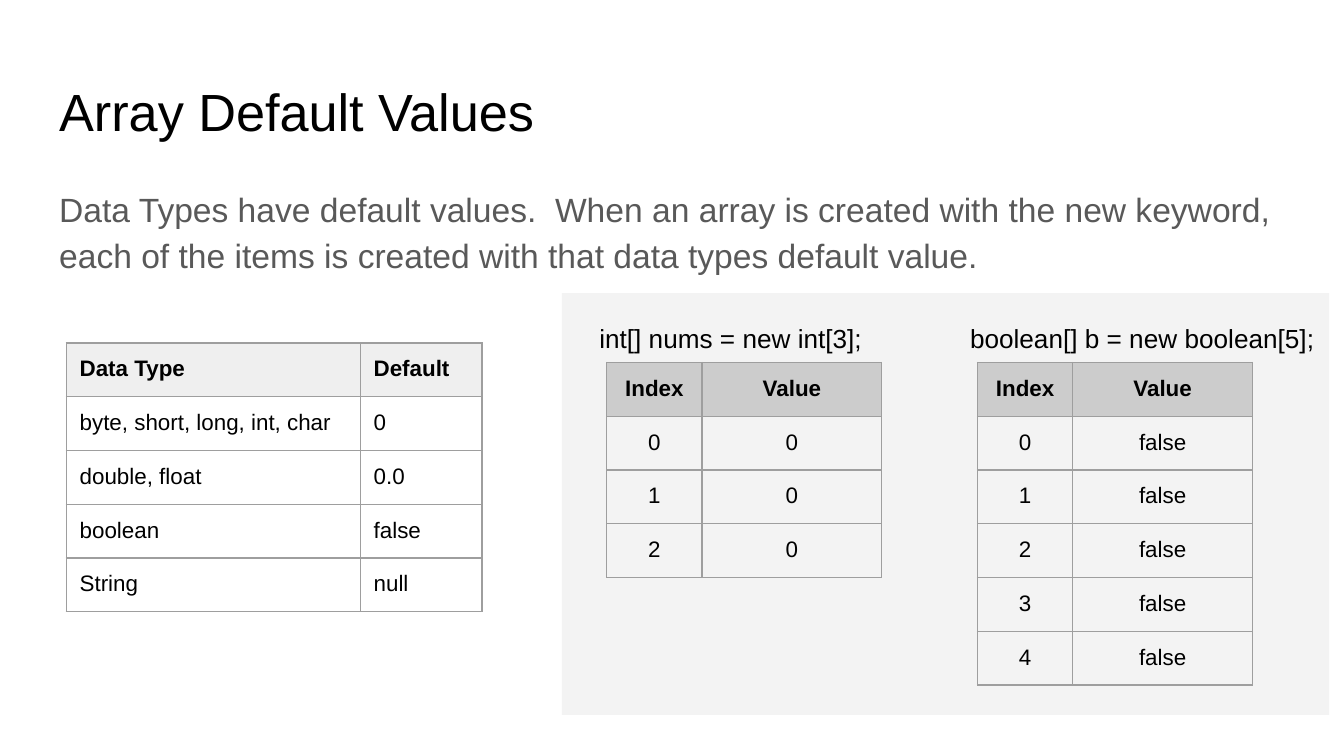
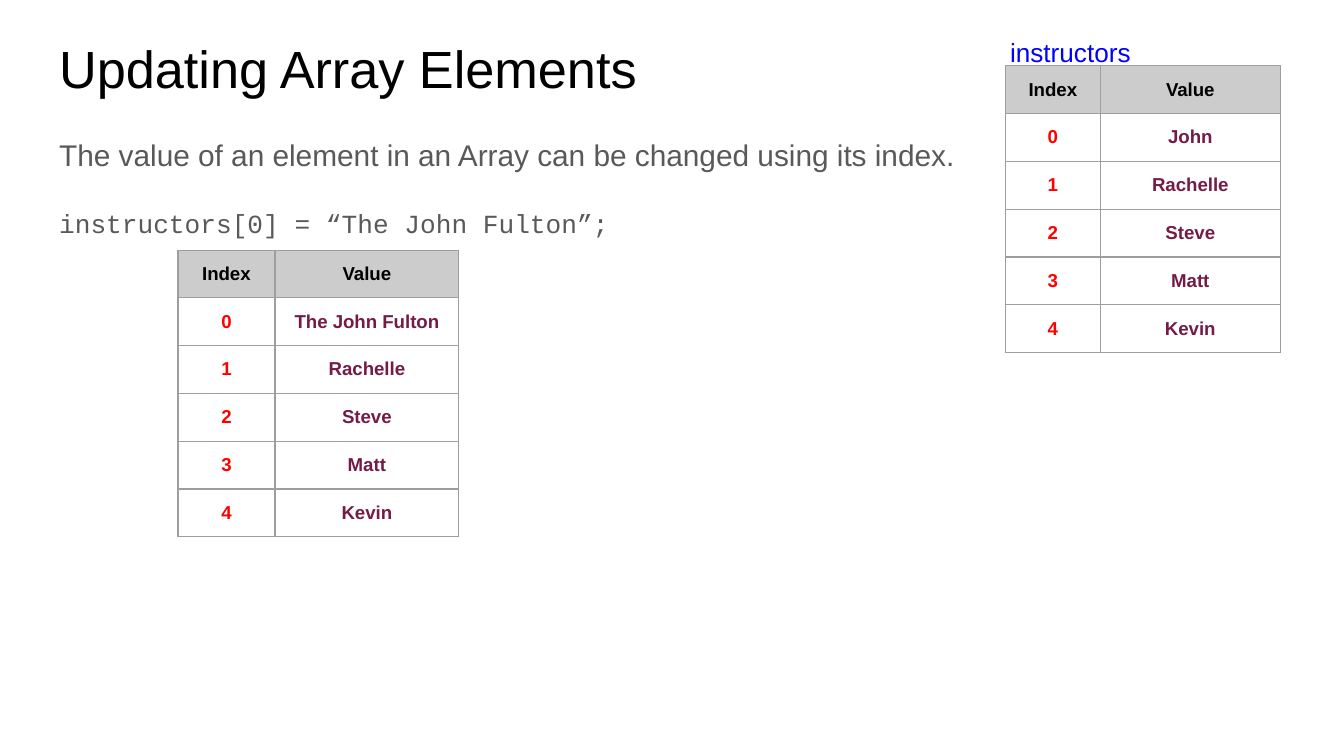
from dataclasses import dataclass

from lxml.etree import SubElement
from pptx import Presentation
from pptx.dml.color import RGBColor
from pptx.enum.shapes import MSO_SHAPE
from pptx.enum.text import MSO_ANCHOR, MSO_AUTO_SIZE, PP_ALIGN
from pptx.oxml.ns import qn
from pptx.util import Pt


@dataclass(frozen=True)
class Theme:
    font: str = "Arial"
    code_font: str = "Courier New"
    ink: str = "000000"
    body: str = "595959"
    panel: str = "F3F3F3"
    type_header: str = "EFEFEF"
    array_header: str = "CCCCCC"
    border: str = "9E9E9E"
    index: str = "FF0000"
    value: str = "741B47"
    array_name: str = "0000FF"
    title_size: float = 28
    lead_size: float = 18
    text_size: float = 16
    label_size: float = 14
    cell_size: float = 12
    small_cell_size: float = 10
    inset: float = 7.2
    border_width: float = 0.75


THEME = Theme()
MARGIN = 24.5
CONTENT_WIDTH = 671


def rgb(color):
    return RGBColor.from_string(color)


def write(paragraph, text, *, size, color=THEME.ink, font=THEME.font, bold=False,
          align=PP_ALIGN.LEFT, line=1.0, before=0, after=0):
    paragraph.alignment = align
    paragraph.line_spacing = line
    paragraph.space_before = Pt(before)
    paragraph.space_after = Pt(after)
    run = paragraph.add_run()
    run.text = text
    run.font.name = font
    run.font.size = Pt(size)
    run.font.bold = bold
    run.font.color.rgb = rgb(color)


def set_frame(frame):
    frame.word_wrap = True
    frame.auto_size = MSO_AUTO_SIZE.NONE
    frame.vertical_anchor = MSO_ANCHOR.TOP
    inset = Pt(THEME.inset)
    frame.margin_left = frame.margin_right = inset
    frame.margin_top = frame.margin_bottom = inset


def place(holder, left, top, width, height):
    holder.left, holder.top = Pt(left), Pt(top)
    holder.width, holder.height = Pt(width), Pt(height)
    set_frame(holder.text_frame)
    return holder.text_frame


def add_title(slide, text, top):
    frame = place(slide.shapes.title, MARGIN, top, CONTENT_WIDTH, 45)
    write(frame.paragraphs[0], text, size=THEME.title_size)


def add_body(slide, lines, top, width, height):
    frame = place(slide.placeholders[1], MARGIN, top, width, height)
    for position, (text, style) in enumerate(lines):
        paragraph = frame.add_paragraph() if position else frame.paragraphs[0]
        write(paragraph, text, color=THEME.body, line=1.15, **style)
        properties = paragraph._p.get_or_add_pPr()
        properties.set("marL", "0")
        properties.set("indent", "0")
        SubElement(properties, qn("a:buNone"))


def add_label(slide, text, left, top, width, height, color=THEME.ink):
    label = slide.shapes.add_textbox(Pt(left), Pt(top), Pt(width), Pt(height))
    set_frame(label.text_frame)
    write(label.text_frame.paragraphs[0], text, size=THEME.label_size, color=color)


def add_panel(slide, left, top, width, height):
    panel = slide.shapes.add_shape(MSO_SHAPE.RECTANGLE, Pt(left), Pt(top), Pt(width), Pt(height))
    panel.shadow.inherit = False
    panel.fill.solid()
    panel.fill.fore_color.rgb = rgb(THEME.panel)
    panel.line.fill.background()
    panel.element.getparent().insert(2, panel.element)


def add_borders(cell):
    properties = cell._tc.get_or_add_tcPr()
    for side in ("lnL", "lnR", "lnT", "lnB"):
        edge = SubElement(properties, qn(f"a:{side}"), w=str(Pt(THEME.border_width)))
        fill = SubElement(edge, qn("a:solidFill"))
        SubElement(fill, qn("a:srgbClr"), val=THEME.border)


def add_grid(slide, rows, left, top, widths, row_height, *, header_fill=THEME.array_header,
             size=THEME.cell_size, align=PP_ALIGN.CENTER, colors=(THEME.ink, THEME.ink),
             bold=False):
    grid = slide.shapes.add_table(len(rows), len(widths), Pt(left), Pt(top),
                                  Pt(sum(widths)), Pt(row_height * len(rows))).table
    grid.first_row = grid.horz_banding = False
    for column, width in zip(grid.columns, widths):
        column.width = Pt(width)
    for r, row in enumerate(rows):
        grid.rows[r].height = Pt(row_height)
        header = r == 0
        for c, text in enumerate(row):
            cell = grid.cell(r, c)
            inset = Pt(THEME.inset)
            cell.margin_left = cell.margin_right = inset
            cell.margin_top = cell.margin_bottom = inset
            add_borders(cell)
            if header:
                cell.fill.solid()
                cell.fill.fore_color.rgb = rgb(header_fill)
            else:
                cell.fill.background()
            write(cell.text_frame.paragraphs[0], text, size=size, align=align,
                  bold=header or bold, color=THEME.ink if header else colors[c])


def array_rows(values):
    return [("Index", "Value")] + [(str(i), value) for i, value in enumerate(values)]


def add_instructors(slide, values, left, top, widths, row_height):
    add_grid(slide, array_rows(values), left, top, widths, row_height, bold=True,
             size=THEME.small_cell_size, colors=(THEME.index, THEME.value))


def build_defaults(slide):
    add_panel(slide, 301, 157, 411, 226)
    add_title(slide, "Array Default Values", 35.5)
    add_body(slide, [(
        "Data Types have default values.  When an array is created with the new keyword, "
        "each of the items is created with that data types default value.",
        dict(size=THEME.lead_size, after=16))], 90.7, CONTENT_WIDTH, 70.5)
    defaults = [("Data Type", "Default"), ("byte, short, long, int, char", "0"),
                ("double, float", "0.0"), ("boolean", "false"), ("String", "null")]
    add_grid(slide, defaults, 35.5, 183.7, (157.5, 65.3), 28.8,
             header_fill=THEME.type_header, align=PP_ALIGN.LEFT)
    examples = [("int[] nums = new int[3];", ["0"] * 3, 314, 166.3),
                ("boolean[] b = new boolean[5];", ["false"] * 5, 512.6, 204.5)]
    for declaration, values, left, width in examples:
        add_label(slide, declaration, left, 165.6, width, 213)
        add_grid(slide, array_rows(values), left + 11.1, 194.2, (51, 96.3), 28.8)


def build_updating(slide):
    add_title(slide, "Updating Array Elements", 12.3)
    add_body(slide, [
        ("The value of an element in an Array can be changed using its index.",
         dict(size=THEME.text_size)),
        ("instructors[0] = “The John Fulton”;",
         dict(size=THEME.label_size, font=THEME.code_font, before=16)),
    ], 63.4, 520.6, 331)
    unchanged = ["Rachelle", "Steve", "Matt", "Kevin"]
    add_instructors(slide, ["John"] + unchanged, 538.5, 35.3, (51, 96.3), 22.3)
    add_label(slide, "instructors", 534, 12.3, 109.4, 18.7, THEME.array_name)
    add_instructors(slide, ["The John Fulton"] + unchanged, 95.3, 134, (52, 98.5), 18.7)


def main():
    deck = Presentation()
    deck.slide_width, deck.slide_height = Pt(720), Pt(405)
    for build in (build_defaults, build_updating):
        build(deck.slides.add_slide(deck.slide_layouts[1]))
    deck.save("out.pptx")


if __name__ == "__main__":
    main()
